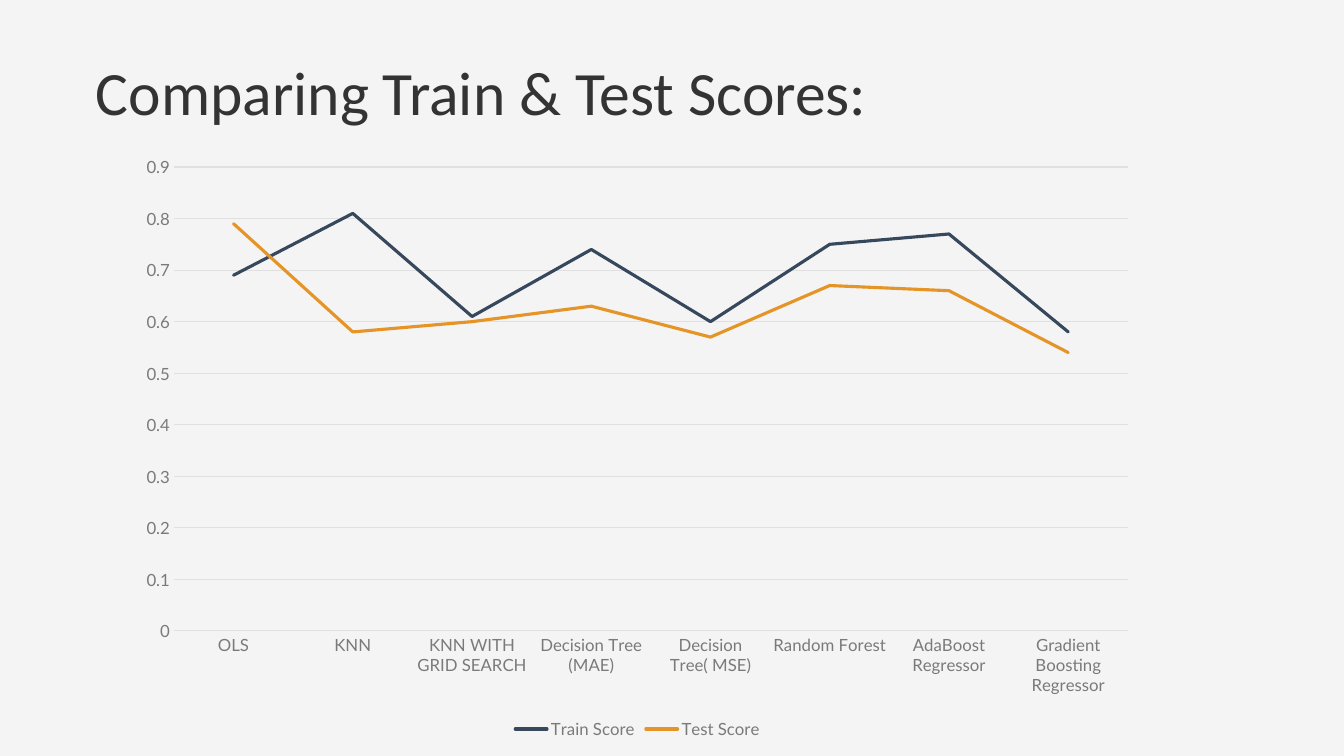
import pptx
import pptx.chart.data
import pptx.dml.color
import pptx.enum.chart
import pptx.oxml
import pptx.oxml.ns
import pptx.util

EMU_PER_PX = 914400 / 100.8
SLIDE_SIZE = (1344, 756)
TITLE_BOX = (86, 49, 800, 85)
CHART_BOX = (127, 145, 1021, 598)
PLOT_BOX = (174, 167, 954, 464)

BACKGROUND = "F4F4F4"
DARK = "333333"
GREY = "7A7A7A"
RULE = "E0E0E0"

TITLE = "Comparing Train & Test Scores:"
MODELS = [
    "OLS", "KNN", "KNN WITH GRID SEARCH", "Decision Tree (MAE)",
    "Decision Tree( MSE)", "Random Forest", "AdaBoost Regressor",
    "Gradient Boosting Regressor",
]
SCORES = [
    ("Train Score", "37485D", (0.69, 0.81, 0.61, 0.74, 0.6, 0.75, 0.77, 0.58)),
    ("Test Score", "E59428", (0.79, 0.58, 0.6, 0.63, 0.57, 0.67, 0.66, 0.54)),
]


def px(*lengths):
    return [pptx.util.Emu(round(length * EMU_PER_PX)) for length in lengths]


def color(value):
    return pptx.dml.color.RGBColor.from_string(value)


def format_font(font, name, size, fill):
    font.name = name
    font.size = pptx.util.Pt(size)
    font.color.rgb = color(fill)


def format_line(line, fill, width):
    line.color.rgb = color(fill)
    line.width = pptx.util.Pt(width)


def add_text(slide, box, text, *, font, size, fill):
    frame = slide.shapes.add_textbox(*px(*box)).text_frame
    frame.word_wrap = False
    run = frame.paragraphs[0].add_run()
    run.text = text
    format_font(run.font, font, size, fill)


def place_plot(chart):
    """Fix the inner plot area as fractions of the chart frame."""
    left, top, width, height = CHART_BOX
    plot_left, plot_top, plot_width, plot_height = PLOT_BOX
    fractions = {
        "x": (plot_left - left) / width, "y": (plot_top - top) / height,
        "w": plot_width / width, "h": plot_height / height,
    }
    parts = "".join(f'<c:{key}Mode val="edge"/>' for key in "xy")
    parts += "".join(f'<c:{key} val="{value:.4f}"/>' for key, value in fractions.items())
    layout = pptx.oxml.parse_xml(
        f'<c:layout {pptx.oxml.ns.nsdecls("c")}><c:manualLayout>'
        f'<c:layoutTarget val="inner"/>{parts}</c:manualLayout></c:layout>')
    plot_area = chart._chartSpace.chart.plotArea
    for previous in plot_area.findall(pptx.oxml.ns.qn("c:layout")):
        plot_area.remove(previous)
    plot_area.insert(0, layout)


def add_score_chart(slide):
    data = pptx.chart.data.CategoryChartData()
    data.categories = MODELS
    for name, _, values in SCORES:
        data.add_series(name, values)
    chart = slide.shapes.add_chart(
        pptx.enum.chart.XL_CHART_TYPE.LINE, *px(*CHART_BOX), data).chart
    chart.has_title = False
    format_font(chart.font, "Lato", 10, DARK)
    chart.plots[0].vary_by_categories = False

    for series, (_, fill, _) in zip(chart.plots[0].series, SCORES):
        series.smooth = False
        series.marker.style = pptx.enum.chart.XL_MARKER_STYLE.NONE
        format_line(series.format.line, fill, 2.25)
        series.format.line._get_or_add_ln().set("cap", "rnd")

    for axis in (chart.category_axis, chart.value_axis):
        axis.major_tick_mark = pptx.enum.chart.XL_TICK_MARK.NONE
        axis.minor_tick_mark = pptx.enum.chart.XL_TICK_MARK.NONE
        format_font(axis.tick_labels.font, "Lato", 12, GREY)
    format_line(chart.category_axis.format.line, RULE, 0.75)
    scale = chart.value_axis
    scale.minimum_scale, scale.maximum_scale, scale.major_unit = 0, 0.9, 0.1
    scale.tick_labels.number_format = "General"
    scale.tick_labels.number_format_is_linked = False
    scale.format.line.fill.background()
    format_line(scale.major_gridlines.format.line, RULE, 0.75)

    chart.has_legend = True
    chart.legend.position = pptx.enum.chart.XL_LEGEND_POSITION.BOTTOM
    chart.legend.include_in_layout = False
    format_font(chart.legend.font, "Lato", 12, GREY)
    place_plot(chart)


def main():
    presentation = pptx.Presentation()
    presentation.slide_width, presentation.slide_height = px(*SLIDE_SIZE)
    slide = presentation.slides.add_slide(presentation.slide_layouts[6])
    slide.background.fill.solid()
    slide.background.fill.fore_color.rgb = color(BACKGROUND)
    add_score_chart(slide)
    add_text(slide, TITLE_BOX, TITLE, font="Calibri", size=44, fill=DARK)
    presentation.save("out.pptx")


if __name__ == "__main__":
    main()
